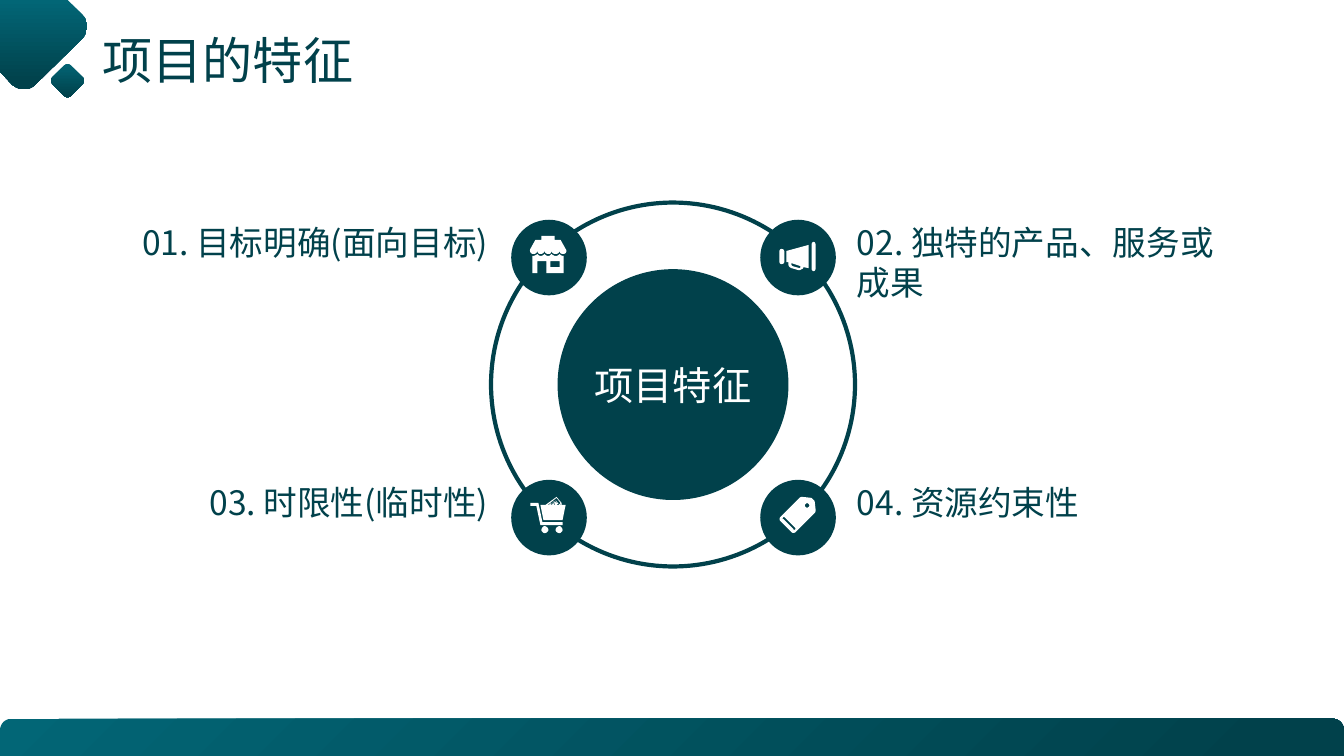
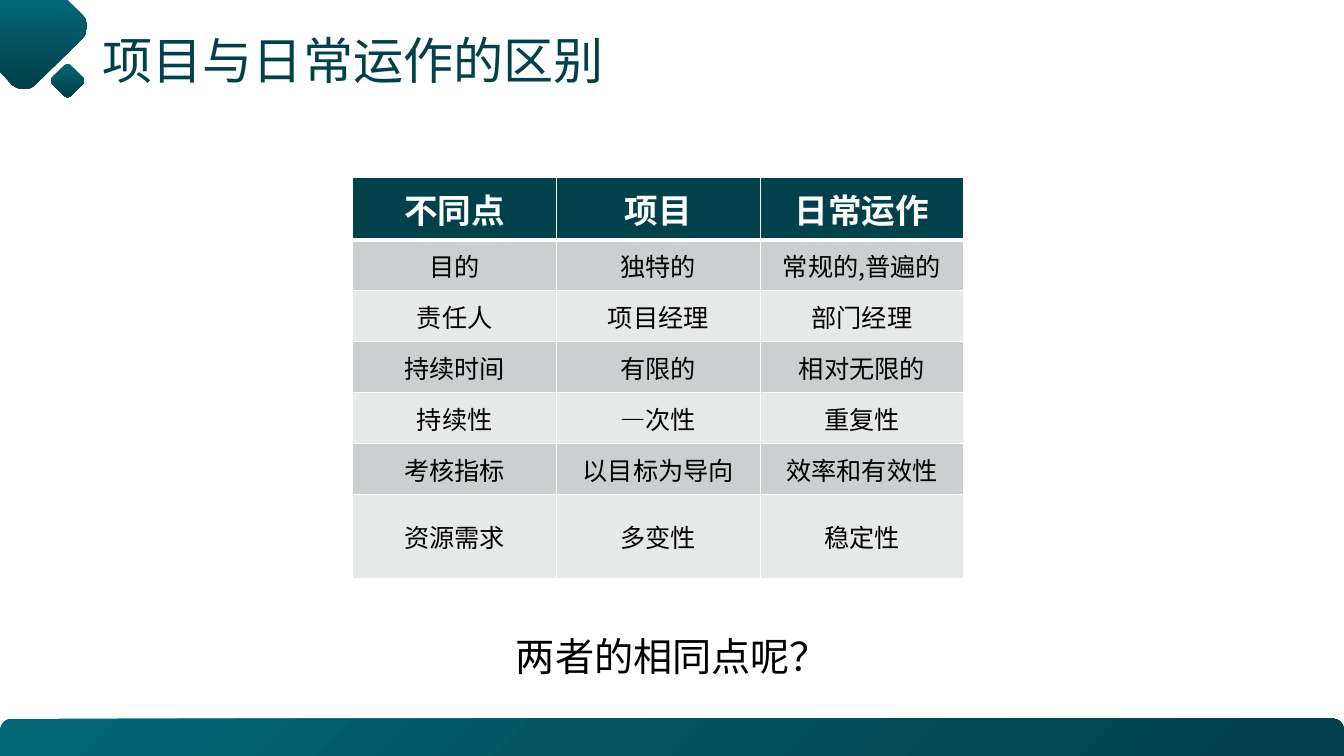
from lxml.etree import SubElement
from pptx import Presentation
from pptx.dml.color import RGBColor
from pptx.enum.shapes import MSO_SHAPE as Shape
from pptx.enum.text import MSO_ANCHOR as Anchor, PP_ALIGN as Align
from pptx.oxml.ns import qn
from pptx.util import Inches, Pt

FONT = "Noto Sans CJK SC"
DARK, TEAL, WHITE, BLACK = "01414B", "026676", "FFFFFF", "000000"
BANDS = ("CCCFD0", "E7E9E9")

CORNER = "M 0 0 L 67 0 82 15 C 88 21 88 31 82 38 L 35 84 C 29 90 19 90 12 84 L 0 71"
FOOTER = "M 12 0 L 1321 0 C 1328 0 1333 5 1333 12 L 1333 37 0 37 0 12 C 0 5 5 0 12 0"
SHOP = (
    "M 20 25 L 20 31 29 31 29 25 "
    "M 7 18 C 8 19 9 20 10 20 12 20 13 19 14 18 15 19 16 20 18 20 19 20 20 19 21 18 "
    "22 19 24 20 25 20 27 20 28 19 29 18 30 19 31 20 33 20 "
    "L 33 37 16 37 16 25 7 25 7 37 2 37 2 20 C 4 20 6 19 7 18 "
    "M 11 0 L 24 0 24 4 30 4 35 13 C 37 15 35 18 33 18 30 18 29 17 29 14 "
    "29 17 27 18 25 18 23 18 21 17 21 14 21 17 20 18 18 18 16 18 14 17 14 14 "
    "14 17 12 18 10 18 8 18 7 17 7 14 7 17 5 18 3 18 0 18 -1 15 0 13 L 5 4 11 4"
)
HORN = (
    "M 12 21 L 12 22 C 12 23 12 23 13 24 L 20 26 C 21 26 21 25 21 25 L 21 24 "
    "M 2 7 C 4 7 5 8 5 10 L 5 19 C 5 21 4 22 2 22 1 22 0 21 0 19 L 0 10 C 0 8 1 7 2 7 "
    "M 29 3 L 29 26 24 25 C 24 26 23 27 22 27 21 28 20 28 19 28 L 12 26 "
    "C 10 25 9 24 9 22 L 9 20 7 20 7 9 "
    "M 34 0 C 35 0 36 1 36 3 L 36 26 C 36 28 35 29 34 29 33 29 32 28 32 26 "
    "L 32 3 C 32 1 33 0 34 0"
)
CART = (
    "M 12 25 L 32 25 32 28 10 28 6 9 0 9 0 6 8 6 "
    "M 14 29 C 13 29 11 31 11 33 11 34 13 36 14 36 16 36 18 34 18 33 18 31 16 29 14 29 "
    "M 29 29 C 27 29 25 31 25 33 25 34 27 36 29 36 30 36 32 34 32 33 32 31 30 29 29 29 "
    "M 13 23 L 10 8 15 8 26 0 31 6 31 8 35 8 32 23 "
    "M 30 7 L 29 8 30 8 "
    "M 17 8 L 19 8 19 7 20 8 20 6 21 8 22 8 21 6 23 8 22 5 24 8 25 8 23 5 23 4 "
    "26 8 28 8 30 6 26 1 "
    "M 28 7 L 25 3 27 7 M 27 7 L 24 4 26 8"
)
TAG = (
    "M 36 13 L 35 4 C 34 3 33 2 32 1 L 23 0 C 22 0 21 0 20 1 L 1 20 "
    "C 0 21 0 23 1 24 L 12 35 C 13 36 15 36 16 35 L 35 16 C 36 15 36 14 36 13 "
    "M 16 32 C 15 33 14 33 14 32 L 4 22 C 3 22 3 21 4 20 4 20 5 20 5 20 "
    "L 16 31 C 16 31 16 32 16 32 "
    "M 29 10 C 28 11 27 11 26 10 25 9 25 8 26 7 27 6 28 6 29 7 30 8 30 9 29 10"
)

FEATURES = [
    (["01. 目标明确(面向目标)"], SHOP, 0.16, 3.5),
    (["02. 独特的产品、服务或", "成果"], HORN, 0.22, 3.9),
    (["03. 时限性(临时性)"], CART, 0.17, 2.8),
    (["04. 资源约束性"], TAG, 0.17, 2.8),
]
DIFFERENCES = [
    ("不同点", "项目", "日常运作"),
    ("目的", "独特的", "常规的,普遍的"),
    ("责任人", "项目经理", "部门经理"),
    ("持续时间", "有限的", "相对无限的"),
    ("持续性", "—次性", "重复性"),
    ("考核指标", "以目标为导向", "效率和有效性"),
    ("资源需求", "多变性", "稳定性"),
]


def rgb(value):
    return RGBColor.from_string(value)


def write(frame, lines, size, color=DARK, align=Align.LEFT, bold=False, leading=None):
    for index, line in enumerate(lines):
        paragraph = frame.paragraphs[0] if index == 0 else frame.add_paragraph()
        paragraph.alignment = align
        if leading:
            paragraph.line_spacing = leading
        run = paragraph.add_run()
        run.text = line
        font = run.font
        font.name, font.size, font.bold = FONT, Pt(size), bold
        font.color.rgb = rgb(color)
        SubElement(run._r.get_or_add_rPr(), qn("a:ea"), typeface=FONT)


def trace(path, steps=8):
    contours, mode, pending = [], "", []
    for token in path.split():
        if token.isalpha():
            mode = token
            continue
        pending.append(float(token))
        if len(pending) < (6 if mode == "C" else 2):
            continue
        if mode == "M":
            contours.append([tuple(pending)])
        elif mode == "L":
            contours[-1].append(tuple(pending))
        else:
            knots = [contours[-1][-1], *zip(pending[::2], pending[1::2])]
            for t in (step / steps for step in range(1, steps + 1)):
                weights = ((1 - t) ** 3, 3 * t * (1 - t) ** 2, 3 * t * t * (1 - t), t ** 3)
                contours[-1].append(
                    tuple(sum(w * knot[axis] for w, knot in zip(weights, knots)) for axis in (0, 1))
                )
        pending = []
    return contours


class Deck:
    def __init__(self):
        self.deck = Presentation()
        self.deck.slide_width, self.deck.slide_height = Inches(13.33), Inches(7.5)
        self.slide = None

    def paint(self, shape, fill=None, line=None, angle=None):
        shape.shadow.inherit = False
        if angle is not None:
            shape.fill.gradient()
            shape.fill.gradient_angle = 360 - angle
            for stop, color, position in zip(shape.fill.gradient_stops, (TEAL, DARK), (0, 0.94)):
                stop.color.rgb, stop.position = rgb(color), position
        elif fill:
            shape.fill.solid()
            shape.fill.fore_color.rgb = rgb(fill)
        else:
            shape.fill.background()
        if line:
            shape.line.color.rgb, shape.line.width = rgb(line), Pt(3)
        else:
            shape.line.fill.background()
        return shape

    def shape(self, kind, left, top, size, **style):
        added = self.slide.shapes.add_shape(
            kind, Inches(left), Inches(top), Inches(size), Inches(size)
        )
        return self.paint(added, **style)

    def outline(self, path, left, top, **style):
        contours = [
            [(Inches(left + x / 100), Inches(top + y / 100)) for x, y in contour]
            for contour in trace(path)
        ]
        builder = self.slide.shapes.build_freeform(*contours[0][0])
        for index, contour in enumerate(contours):
            if index:
                builder.move_to(*contour[0])
            builder.add_line_segments(contour[1:], close=True)
        return self.paint(builder.convert_to_shape(), **style)

    def text(self, lines, left, top, width, height, size, anchor=Anchor.TOP, **style):
        box = self.slide.shapes.add_textbox(
            Inches(left), Inches(top), Inches(width), Inches(height)
        )
        frame = box.text_frame
        frame.word_wrap, frame.vertical_anchor = True, anchor
        frame.margin_left = frame.margin_right = frame.margin_top = frame.margin_bottom = 0
        write(frame, lines, size, **style)

    def new_slide(self, title):
        self.slide = self.deck.slides.add_slide(self.deck.slide_layouts[6])
        self.outline(CORNER, 0, 0, angle=90)
        self.shape(Shape.ROUNDED_RECTANGLE, 0.54, 0.67, 0.26, angle=45).rotation = 45
        self.outline(FOOTER, 0, 7.13, angle=45)
        self.text([title], 1.02, 0.35, 6.13, 0.55, 35.8, Anchor.MIDDLE, leading=0.9)

    def borders(self, cell, **widths):
        for side in "LRTB":
            line = SubElement(
                cell._tc.get_or_add_tcPr(), qn(f"a:ln{side}"), w=str(Pt(widths.get(side, 1)))
            )
            SubElement(SubElement(line, qn("a:solidFill")), qn("a:srgbClr"), val=WHITE)

    def table(self, rows, left, top, width, heights):
        table = self.slide.shapes.add_table(
            len(rows), len(rows[0]), Inches(left), Inches(top), Inches(width), Inches(sum(heights))
        ).table
        table.first_row = table.horz_banding = False
        for column in table.columns:
            column.width = Inches(width / len(rows[0]))
        for index, (row, height) in enumerate(zip(rows, heights)):
            table.rows[index].height = Inches(height)
            header = index == 0
            for cell, words in zip(table.rows[index].cells, row):
                self.borders(cell, B=3 if header else 1, T=3 if index == 1 else 1)
                cell.fill.solid()
                cell.fill.fore_color.rgb = rgb(DARK if header else BANDS[(index - 1) % 2])
                cell.vertical_anchor = Anchor.MIDDLE
                write(cell.text_frame, [words], 24 if header else 18,
                      color=WHITE if header else BLACK, align=Align.CENTER, bold=header)


def features_slide(deck):
    deck.new_slide("项目的特征")
    core = deck.shape(Shape.OVAL, 5.53, 2.67, 2.29, fill=DARK)
    core.text_frame.word_wrap = False
    core.text_frame.vertical_anchor = Anchor.MIDDLE
    write(core.text_frame, ["项目特征"], 28, color=WHITE, align=Align.CENTER)
    deck.shape(Shape.OVAL, 4.87, 2.01, 3.61, line=DARK)
    for index, (lines, icon, icon_drop, width) in enumerate(FEATURES):
        row, column = divmod(index, 2)
        left, top = (5.07, 7.54)[column], (2.18, 4.76)[row]
        deck.shape(Shape.OVAL, left, top, 0.75, fill=DARK)
        deck.outline(icon, left + 0.19, top + icon_drop, fill=WHITE)
        deck.text(lines, 8.5 if column else 4.84 - width, top + 0.02, width, 0.81, 24,
                  align=Align.LEFT if column else Align.RIGHT, leading=Pt(28.8))


def differences_slide(deck):
    deck.new_slide("项目与日常运作的区别")
    header, last, total = 0.62, 0.83, 3.98
    middle = len(DIFFERENCES) - 2
    heights = [header, *[(total - header - last) / middle] * middle, last]
    deck.table(DIFFERENCES, 3.5, 1.76, 6.06, heights)
    deck.text(["两者的相同点呢？"], 5.1, 6.26, 3.14, 0.5, 28, Anchor.MIDDLE,
              color=BLACK, align=Align.CENTER)


def main():
    deck = Deck()
    features_slide(deck)
    differences_slide(deck)
    deck.deck.save("out.pptx")


if __name__ == "__main__":
    main()
